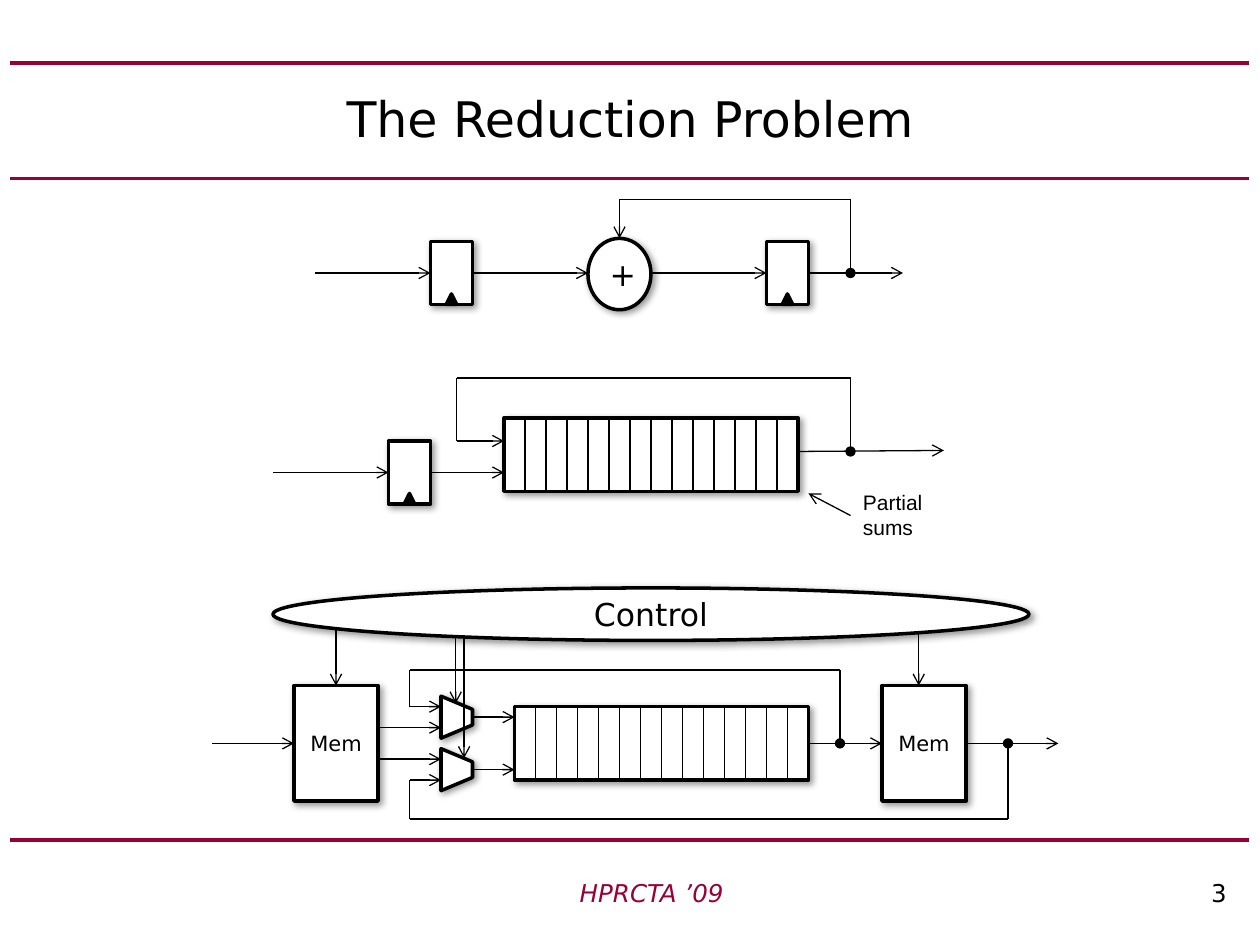
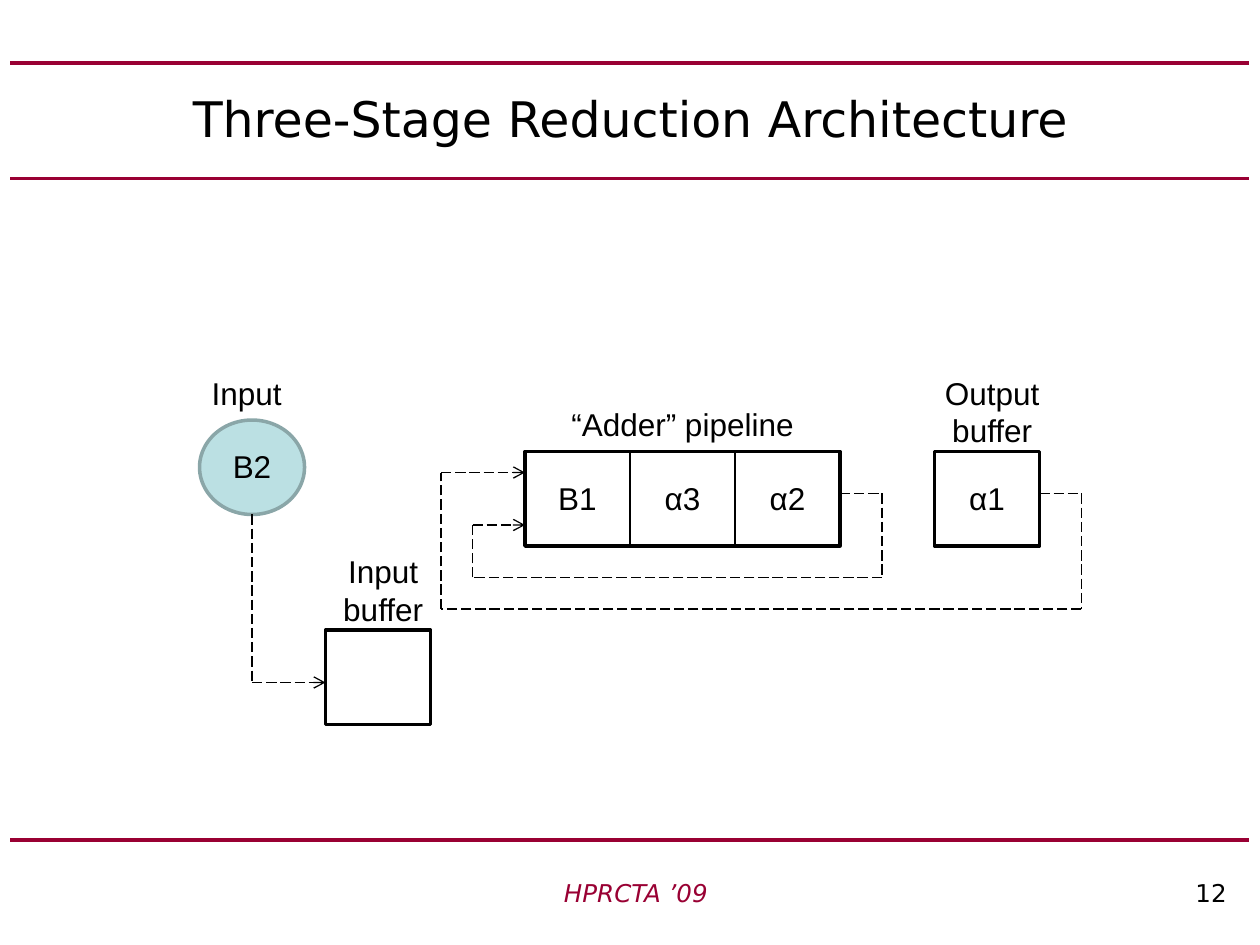
from dataclasses import dataclass

from lxml import etree
from pptx import Presentation
from pptx import util as u
from pptx.dml.color import RGBColor
from pptx.enum import dml, shapes, text
from pptx.oxml import ns

PX = 7620  # EMU per px, 120 px to the inch


@dataclass(frozen=True)
class Theme:
    ink: str = "000000"
    paper: str = "FFFFFF"
    accent: str = "990033"
    token: str = "BBE0E3"
    token_edge: str = "8AA6A8"
    head_font: str = "DejaVu Sans"
    body_font: str = "Arial"
    title: int = 28
    label: int = 18
    footer: int = 14
    small: int = 12
    rule: float = 2.25
    outline: float = 2
    wire: float = 0.75


T = Theme()
S = shapes.MSO_SHAPE
AL = text.PP_ALIGN
STRAIGHT = shapes.MSO_CONNECTOR.STRAIGHT


def box(sl, kind, x, y, w, h, words="", size=T.label, font=T.head_font, color=T.ink,
        align=AL.CENTER, italic=False, fill=T.paper, edge=T.ink, shadow=False):
    """Place a preset shape, a text box (kind None) or the title, with its text."""
    place = [v * PX for v in (x, y, w, h)]
    if kind == "title":
        sp = sl.shapes.title
        sp.left, sp.top, sp.width, sp.height = place
    elif kind is None:
        sp = sl.shapes.add_textbox(*place)
    else:
        sp = sl.shapes.add_shape(kind, *place)
        sp.shadow.inherit = False
        if fill:
            sp.fill.solid()
            sp.fill.fore_color.rgb = RGBColor.from_string(fill)
        else:
            sp.fill.background()
        sp.line.color.rgb = RGBColor.from_string(edge)
        sp.line.width = u.Pt(T.outline)
    if shadow:
        effects = sp.element.spPr.find(ns.qn("a:effectLst"))
        cast = etree.SubElement(effects, ns.qn("a:outerShdw"), blurRad="50800",
                                dist="25400", dir="2700000", algn="tl", rotWithShape="0")
        tint = etree.SubElement(cast, ns.qn("a:srgbClr"), val=T.ink)
        etree.SubElement(tint, ns.qn("a:alpha"), val="40000")
    if words:
        tf = sp.text_frame
        tf.text = words
        tf.word_wrap = True
        tf.vertical_anchor = text.MSO_ANCHOR.TOP if kind is None else text.MSO_ANCHOR.MIDDLE
        for p in tf.paragraphs:
            p.alignment = align
            for k, v in dict(size=u.Pt(size), name=font, italic=italic).items():
                setattr(p.font, k, v)
            for r in p.runs:
                for k, v in dict(size=u.Pt(size), name=font, italic=italic).items():
                    setattr(r.font, k, v)
                r.font.color.rgb = RGBColor.from_string(color)
    return sp


def wire(sl, *pts, head=None, tail=None, start=None, end=None, dash=False,
         color=T.ink, width=T.wire):
    """Run straight lines through pts; start and end are (shape, side) joints."""
    cs = []
    for a, b in zip(pts, pts[1:]):
        c = sl.shapes.add_connector(STRAIGHT, *[v * PX for v in a + b])
        c.line.color.rgb = RGBColor.from_string(color)
        c.line.width = u.Pt(width)
        if dash:
            c.line.dash_style = dml.MSO_LINE.LONG_DASH
        etree.SubElement(c.element.spPr, ns.qn("a:effectLst"))
        cs.append(c)
    for c, tag, mark in ((cs[0], "a:headEnd", head), (cs[-1], "a:tailEnd", tail)):
        if mark:
            etree.SubElement(c.line._get_or_add_ln(), ns.qn(tag), type=mark)
    if start:
        cs[0].begin_connect(*start)
    if end:
        cs[-1].end_connect(*end)
    return cs


prs = Presentation()
prs.slide_width, prs.slide_height = 1200 * PX, 900 * PX
layout = prs.slide_layouts[5]

# Titles and footers
pages = []
for title, number in (("The Reduction Problem", "3"),
                      ("Three-Stage Reduction Architecture", "12")):
    sl = prs.slides.add_slide(layout)
    box(sl, "title", 60, 60, 1080, 104, title, T.title)
    box(sl, None, 516 - 15 * len(number), 830, 200, 40, "HPRCTA ’09", T.footer,
        color=T.accent, align=AL.RIGHT, italic=True)
    box(sl, None, 1080, 830, 100, 40, number, T.footer, align=AL.RIGHT)
    pages.append(sl)
problem, arch = pages

# Shared rules, kept on the layout
for y in (60, 170, 800):
    for c in wire(problem, (10, y), (1190, y), color=T.accent, width=T.rule):
        layout.shapes.element.append(c.element)

# Slide 1: registers with clock marks
regs = []
for x, y in ((410, 230), (730, 230), (370, 420)):
    regs.append(box(problem, S.RECTANGLE, x, y, 40, 60, shadow=True))
    box(problem, S.ISOSCELES_TRIANGLE, x + 15, y + 50, 10, 10, fill=T.ink)
reg_in, reg_sum, reg_pipe = regs

# Slide 1: pipelines cut into stages
pipes = []
for x, y in ((480, 398), (490, 673)):
    pipes.append(box(problem, S.RECTANGLE, x, y, 280, 70, shadow=True))
    for cut in range(x + 20, x + 280, 20):
        wire(problem, (cut, y), (cut, y + 70))
pipe_mem = pipes[1]

# Slide 1: accumulator
box(problem, S.OVAL, 560, 227, 60, 68, "+", shadow=True)
wire(problem, (300, 260), (410, 260), tail="arrow", end=(reg_in, 1))
wire(problem, (450, 260), (560, 260), tail="arrow", start=(reg_in, 3))
wire(problem, (620, 260), (730, 260), tail="arrow", end=(reg_sum, 1))
wire(problem, (770, 260), (860, 260), tail="arrow", start=(reg_sum, 3))
wire(problem, (810, 260), (810, 190), (590, 190), (590, 227), head="oval", tail="arrow")

# Slide 1: pipelined adder
wire(problem, (260, 450), (370, 450), tail="arrow", end=(reg_pipe, 1))
wire(problem, (410, 450), (480, 450), tail="arrow", start=(reg_pipe, 3))
wire(problem, (760, 430), (899, 429), tail="arrow")
wire(problem, (810, 430), (810, 360), (435, 360), (435, 420), (480, 420),
     head="oval", tail="arrow")
box(problem, None, 810, 460, 100, 60, "Partial sums", T.small, T.body_font, align=AL.LEFT)
wire(problem, (810, 491), (770, 470), tail="arrow")

# Slide 1: controlled adder with memories and multiplexers
mem_in, mem_out = [box(problem, S.RECTANGLE, x, 653, 80, 110, "Mem", T.small, shadow=True)
                   for x in (280, 840)]
for y in (683, 733):
    mux = box(problem, S.TRAPEZOID, 415, y - 15, 40, 30, shadow=True)
    mux.rotation = 90
    mux.adjustments[0] = 0.42
    wire(problem, (450, y), (490, y), tail="arrow")
for y in (693, 723):
    wire(problem, (360, y), (420, y), tail="arrow")
wire(problem, (202, 708), (280, 708), tail="arrow", end=(mem_in, 1))
wire(problem, (770, 708), (840, 708), tail="arrow", start=(pipe_mem, 3), end=(mem_out, 1))
wire(problem, (920, 708), (1008, 708), tail="arrow", start=(mem_out, 3))
for x, far, near in ((800, 638, 673), (960, 780, 743)):
    wire(problem, (x, 708), (x, far), (390, far), (390, near), (420, near),
         head="oval", tail="arrow")
box(problem, S.OVAL, 260, 560, 720, 50, "Control", shadow=True)
wire(problem, (320, 600), (320, 653), tail="arrow", end=(mem_in, 0))
for x, top, bottom in ((434, 607, 670), (442, 607, 722), (875, 602, 653)):
    wire(problem, (x, top), (x, bottom), tail="arrow")

# Slide 2: input value, pipeline and buffers
box(arch, S.OVAL, 190, 400, 100, 90, fill=T.token, edge=T.token_edge)
box(arch, S.RECTANGLE, 500, 430, 300, 90)
box(arch, S.RECTANGLE, 310, 600, 100, 90)
box(arch, S.RECTANGLE, 890, 430, 100, 90, fill=None)
for x in (600, 700):
    wire(arch, (x, 430), (x, 520))

# Slide 2: values and captions
for words, x, y, w, h in (
        ("B2", 190, 420, 100, 48), ("B1", 500, 450, 100, 48), ("α3", 600, 450, 100, 48),
        ("α2", 700, 450, 100, 48), ("α1", 890, 450, 100, 48),
        ("Input", 170, 350, 130, 48), ("“Adder” pipeline", 490, 380, 320, 48),
        ("Input\nbuffer", 300, 520, 130, 85), ("Output\nbuffer", 880, 350, 130, 85)):
    box(arch, None, x, y, w, h, words, font=T.body_font)

# Slide 2: dashed data paths
wire(arch, (240, 490), (240, 650), (310, 650), tail="arrow", dash=True)
for right, out, low, left, back in ((800, 840, 550, 450, 500), (990, 1030, 580, 420, 450)):
    wire(arch, (right, 470), (out, 470), (out, low), (left, low), (left, back), (500, back),
         tail="arrow", dash=True)

prs.save("out.pptx")
